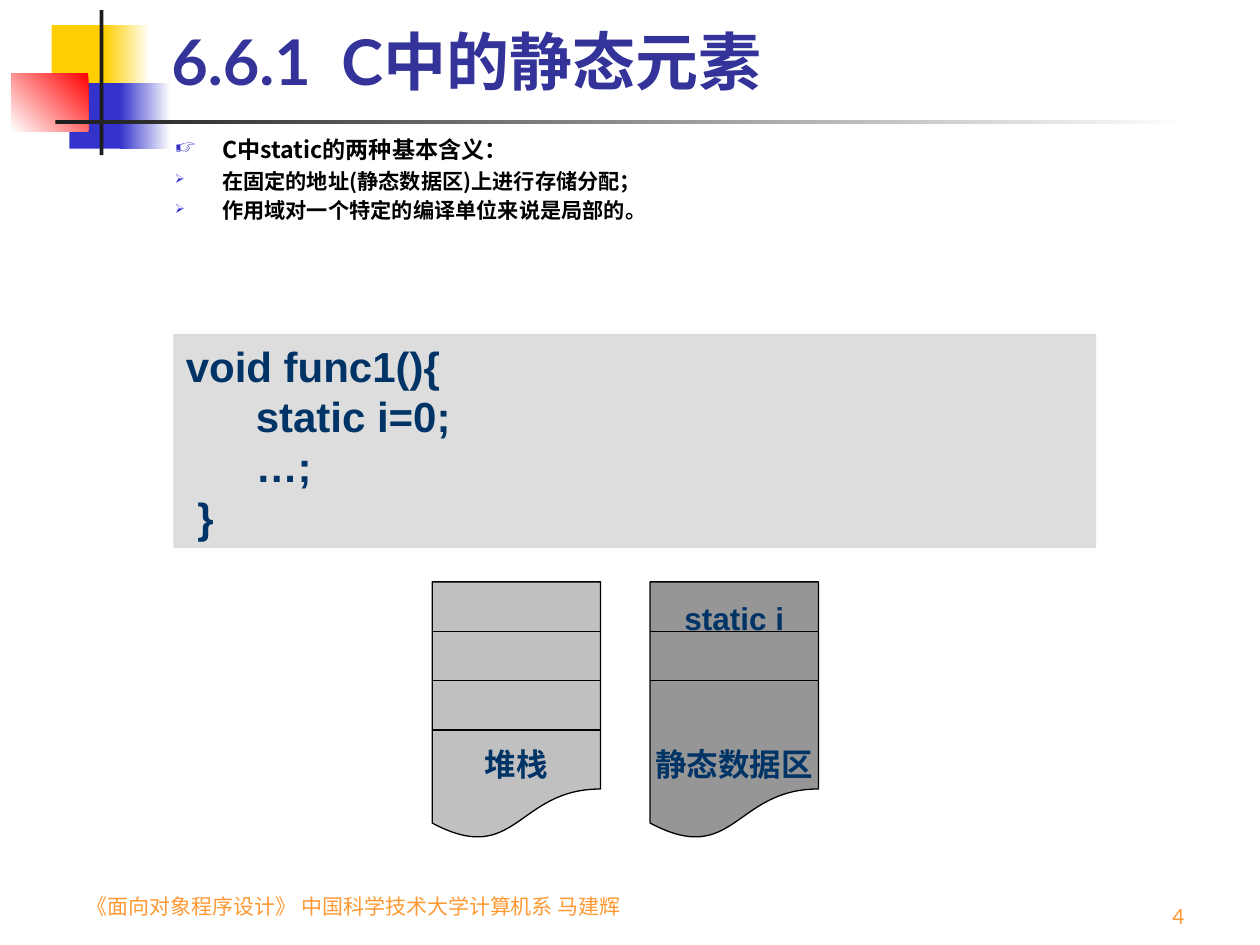
from lxml.etree import SubElement
from pptx import Presentation
from pptx.dml.color import RGBColor
from pptx.enum.shapes import MSO_CONNECTOR, MSO_SHAPE
from pptx.enum.text import MSO_ANCHOR as Anchor, MSO_AUTO_SIZE, PP_ALIGN as Align
from pptx.oxml.ns import qn
from pptx.util import Pt

LATO, ARIAL, CJK = "Lato", "Arial", "Noto Sans CJK SC"
NAVY, ORANGE, BLUE, BLACK = "003366", "FF9933", "3333CC", "000000"

TITLE = "6.6.1  C中的静态元素"
# text, size, space before, bullet, bullet size in percent
MEANINGS = [
    ("C中static的两种基本含义：", 13.2, 6, "☞", 90),
    ("在固定的地址(静态数据区)上进行存储分配；", 12.1, 5.5, "➢", 60),
    ("作用域对一个特定的编译单位来说是局部的。", 12.1, 5.5, "➢", 60),
]
# text, left indent
CODE = [("void func1(){", 0), ("static i=0;", 40), ("…;", 40), ("}", 6.67)]
# left, fill, lines of text, number of dividers
MEMORY = [
    (247, "C0C0C0", ["堆栈"], 3),
    (371.5, "969696", ["static i", "静态数据区"], 2),
]
MEMORY_TOP, MEMORY_WIDTH, MEMORY_HEIGHT, CELL_HEIGHT = 332.5, 96.2, 147.6, 28.2
# box, colours from start to end, gradient angle
DECORATION = [
    ((29.5, 14.4, 34.6, 37.4), ["FFCF01"], 0),
    ((59.8, 14.4, 25.9, 37.4), ["FFCF01", "FFFFFF"], 0),
    ((39.6, 47.5, 33.1, 37.4), [BLUE], 0),
    ((68.4, 47.5, 28.8, 37.4), [BLUE, "FFFFFF"], 0),
    ((6.5, 41.8, 43.9, 33.1), ["FF0000", "FFFFFF"], 225),
    ((56.9, 5.8, 2.2, 82.8), ["1C1C1C"], 0),
    ((31.7, 68.4, 648, 2.5), ["1C1C1C", "FFFFFF"], 0),
]
FOOTERS = [
    ("《面向对象程序设计》 中国科学技术大学计算机系 马建辉", (42.5, 496.8, 323.3, 31.7), Align.LEFT),
    ("4", (534.2, 498.2, 149.8, 36), Align.RIGHT),
]


def rgb(value):
    """Turn a hex string into a colour."""
    return RGBColor.from_string(value)


def points(box):
    """Turn numbers into lengths in points."""
    return [Pt(value) for value in box]


def write(frame, lines, size, font, color, bold=True, align=Align.LEFT,
          anchor=Anchor.TOP, wrap=True):
    """Fill a text frame with equally formatted paragraphs."""
    frame.text = "\n".join(lines)
    frame.auto_size = MSO_AUTO_SIZE.NONE
    frame.word_wrap = wrap
    frame.vertical_anchor = anchor
    for paragraph in frame.paragraphs:
        paragraph.alignment = align
        for run in paragraph.runs:
            run.font.size, run.font.name, run.font.bold = Pt(size), font, bold
            run.font.color.rgb = rgb(color)
            SubElement(run.font._element, qn("a:ea"), typeface=CJK)


def add_block(kind, box, colors, angle=0, outline=None):
    """Add a shape with a plain or gradient fill."""
    block = slide.shapes.add_shape(kind, *points(box))
    block.shadow.inherit = False
    if len(colors) == 1:
        block.fill.solid()
        block.fill.fore_color.rgb = rgb(colors[0])
    else:
        block.fill.gradient()
        block.fill.gradient_angle = angle
        for stop, color in zip(block.fill.gradient_stops, colors):
            stop.color.rgb = rgb(color)
    if outline:
        block.line.color.rgb = rgb(outline)
        block.line.width = Pt(0.75)
    else:
        block.line.fill.background()
    return block


def add_divider(left, top, width):
    """Add a thin horizontal line."""
    ends = points((left, top, left + width, top))
    divider = slide.shapes.add_connector(MSO_CONNECTOR.STRAIGHT, *ends)
    divider.line.color.rgb = rgb(BLACK)
    divider.line.width = Pt(0.75)
    SubElement(divider._element.spPr, qn("a:effectLst"))


def set_bullet(paragraph, mark, percent):
    """Give a paragraph a hanging bullet."""
    props = paragraph._p.get_or_add_pPr()
    props.set("marL", str(Pt(27)))
    props.set("indent", str(-Pt(27)))
    color = SubElement(props, qn("a:buClr"))
    SubElement(color, qn("a:srgbClr"), val=BLUE)
    SubElement(props, qn("a:buSzPct"), val=str(percent * 1000))
    SubElement(props, qn("a:buChar"), char=mark)


deck = Presentation()
deck.slide_width, deck.slide_height = Pt(720), Pt(540)
slide = deck.slides.add_slide(deck.slide_layouts[5])

for box, colors, angle in DECORATION:
    add_block(MSO_SHAPE.RECTANGLE, box, colors, angle)

for text, box, align in FOOTERS:
    footer = slide.shapes.add_textbox(*points(box))
    write(footer.text_frame, [text], 12, LATO, ORANGE, False, align, Anchor.BOTTOM)

title = slide.shapes.title
title.left, title.top, title.width, title.height = points((90.7, 16.6, 613.4, 43.2))
write(title.text_frame, [TITLE], 36, LATO, "333399", anchor=Anchor.BOTTOM)

meanings = slide.shapes.add_textbox(*points((92.9, 77, 612, 102.2))).text_frame
write(meanings, [row[0] for row in MEANINGS], 12.1, CJK, BLACK)
for paragraph, (_, size, before, mark, percent) in zip(meanings.paragraphs, MEANINGS):
    paragraph.line_spacing = 0.8
    paragraph.space_before = Pt(before)
    paragraph.runs[0].font.size = Pt(size)
    set_bullet(paragraph, mark, percent)

for left, fill, lines, dividers in MEMORY:
    box = (left, MEMORY_TOP, MEMORY_WIDTH, MEMORY_HEIGHT)
    area = add_block(MSO_SHAPE.FLOWCHART_DOCUMENT, box, [fill], outline=BLACK)
    write(area.text_frame, lines, 18, ARIAL, NAVY, align=Align.CENTER,
          anchor=Anchor.BOTTOM, wrap=False)
    for paragraph in area.text_frame.paragraphs[1:]:
        paragraph.space_before = Pt(62)
    for row in range(1, dividers + 1):
        add_divider(left, MEMORY_TOP + row * CELL_HEIGHT, MEMORY_WIDTH)

code = add_block(MSO_SHAPE.RECTANGLE, (99.1, 190.8, 527.3, 122.4), ["DDDDDD"]).text_frame
write(code, [row[0] for row in CODE], 24, ARIAL, NAVY)
for paragraph, (_, indent) in zip(code.paragraphs, CODE):
    paragraph._p.get_or_add_pPr().set("marL", str(Pt(indent)))

deck.save("out.pptx")
